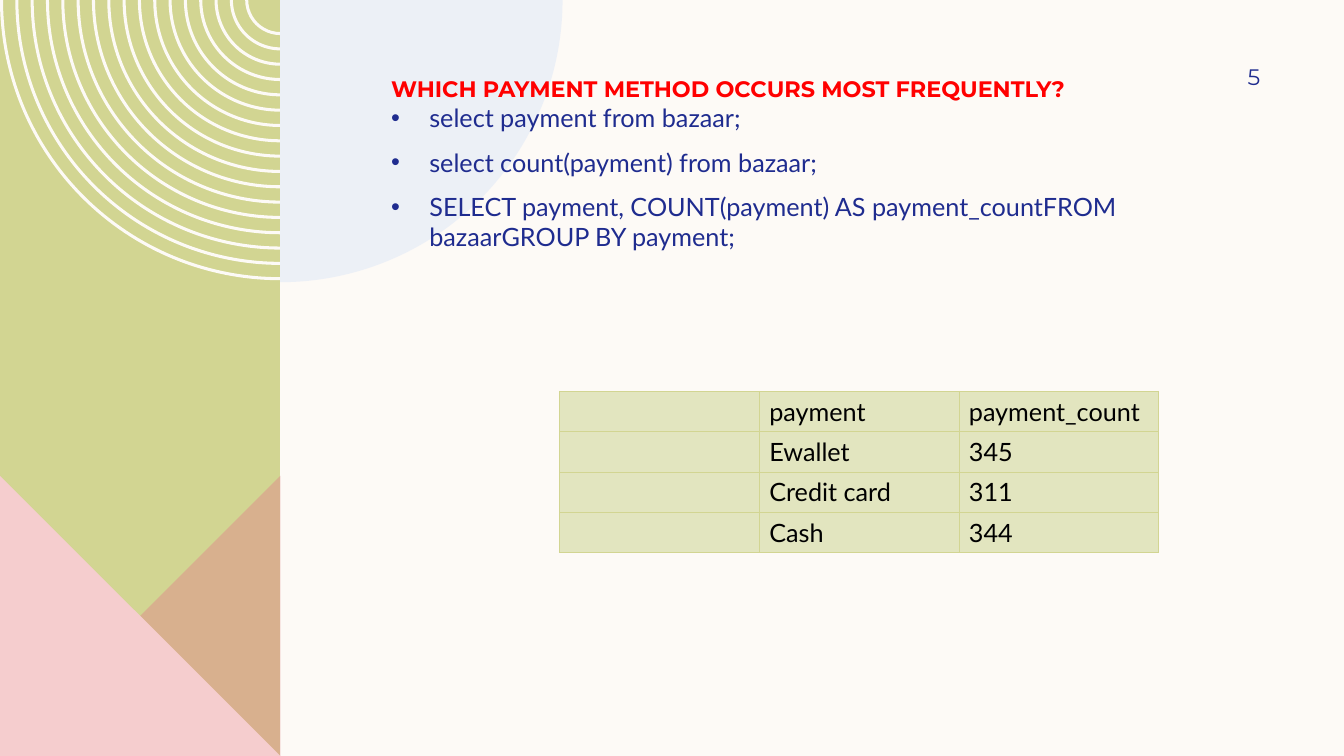
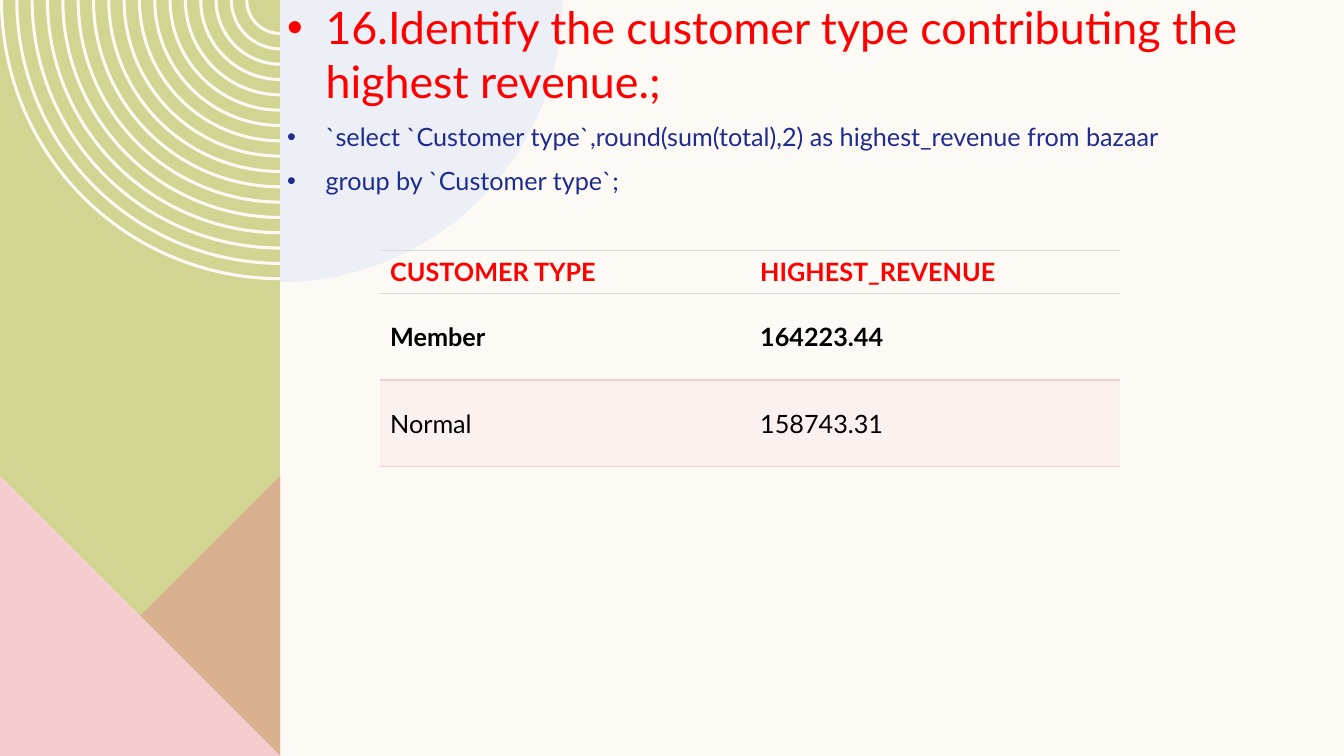
import lxml.etree
import pptx
import pptx.dml.color
import pptx.enum.text
import pptx.oxml.ns
import pptx.util

Inches = pptx.util.Inches
Pt = pptx.util.Pt
qn = pptx.oxml.ns.qn
SubElement = lxml.etree.SubElement
Anchor = pptx.enum.text.MSO_ANCHOR
Align = pptx.enum.text.PP_ALIGN

COLORS = {
    "cream": "FDFAF6",
    "green": "D2D592",
    "pale green": "E2E5BF",
    "rose": "DE8C8C",
    "pink": "F5CDCE",
    "pale pink": "FBF1EE",
    "sky": "DDE7F6",
    "grey": "DDDBDA",
    "red": "FF0000",
    "navy": "1F2C8F",
    "black": "000000",
}
RGB = {name: pptx.dml.color.RGBColor.from_string(value) for name, value in COLORS.items()}
NO_GRID_STYLE = "{2D5ABB26-0587-4C30-8999-92F81FD0307C}"


def style_text(paragraph, size, color, font="Lato", bold=False):
    paragraph.font.size = Pt(size)
    paragraph.font.name = font
    paragraph.font.bold = bold
    paragraph.font.color.rgb = RGB[color]


def add_grid(slide, left, top, column_width, row_height, rows, borders, look):
    frame = slide.shapes.add_table(
        len(rows), len(rows[0]), Inches(left), Inches(top),
        Inches(column_width * len(rows[0])), Inches(row_height * len(rows)))
    table = frame.table
    table.first_row = table.horz_banding = False
    frame.element.find(".//" + qn("a:tableStyleId")).text = NO_GRID_STYLE
    for column in table.columns:
        column.width = Inches(column_width)
    for r, texts in enumerate(rows):
        table.rows[r].height = Inches(row_height)
        color, bold, fill = look[r]
        for c, text in enumerate(texts):
            cell = table.cell(r, c)
            cell.text = text
            cell.vertical_anchor = Anchor.MIDDLE
            style_text(cell.text_frame.paragraphs[0], 18, color, bold=bold)
            for side, (line_color, width) in borders[r].items():
                line = SubElement(cell._tc.get_or_add_tcPr(), qn("a:ln" + side), w=str(Pt(width)))
                SubElement(SubElement(line, qn("a:solidFill")), qn("a:srgbClr"), val=COLORS[line_color])
            if fill:
                cell.fill.solid()
                cell.fill.fore_color.rgb = RGB[fill]
            else:
                cell.fill.background()


prs = pptx.Presentation()
prs.slide_width, prs.slide_height = Inches(13.33), Inches(7.5)
master = prs.slide_master
master.background.fill.solid()
master.background.fill.fore_color.rgb = RGB["cream"]

payment_slide = prs.slides.add_slide(prs.slide_layouts[5])
revenue_slide = prs.slides.add_slide(prs.slide_layouts[6])

BAND = 2.78
DISC = 2.8
rings, ring_arcs = [], []
for ring in range(17):
    outer = BAND - 0.152 * ring
    inner = outer - 0.03
    rings.append([(BAND - outer, 0), (BAND, outer), (BAND, inner), (BAND - inner, 0)])
    ring_arcs += [(outer, 180, -90), None, (inner, 90, 90)]

decorations = [
    ([[(0, 0), (BAND, 0), (BAND, 7.5), (0, 7.5)]], [], "green", 100),
    (rings, ring_arcs, "cream", 100),
    ([[(BAND, 4.72), (BAND, 7.5), (0, 7.5)]], [], "rose", 50),
    ([[(0, 4.72), (BAND, 7.5), (0, 7.5)]], [], "pink", 100),
    ([[(BAND + DISC, 0), (BAND, DISC), (BAND, 0)]], [(DISC, 0, 90)], "sky", 50),
]
for position, (outlines, arcs, color, opacity) in enumerate(decorations):
    contours = [[(Inches(x), Inches(y)) for x, y in outline] for outline in outlines]
    builder = payment_slide.shapes.build_freeform(*contours[0][0])
    builder.add_line_segments(contours[0][1:])
    for contour in contours[1:]:
        builder.move_to(*contour[0])
        builder.add_line_segments(contour[1:])
    decoration = builder.convert_to_shape()
    decoration.shadow.inherit = False
    decoration.line.fill.background()
    decoration.fill.solid()
    decoration.fill.fore_color.rgb = RGB[color]
    segments = list(decoration.element.iter(qn("a:lnTo")))
    for segment, arc in zip(segments, arcs):
        if arc:
            radius, start, sweep = arc
            size = str(Inches(radius))
            curve = lxml.etree.Element(qn("a:arcTo"), wR=size, hR=size,
                                       stAng=str(start * 60000), swAng=str(sweep * 60000))
            segment.getparent().replace(segment, curve)
    if opacity < 100:
        tint = decoration.element.spPr.find(qn("a:solidFill")).find(qn("a:srgbClr"))
        SubElement(tint, qn("a:alpha"), val=str(opacity * 1000))
    master.shapes.element.insert(2 + position, decoration.element)

title = payment_slide.shapes.title
title.left, title.top, title.width, title.height = map(Inches, (3.78, 0.35, 8.71, 0.66))
heading = title.text_frame
heading.text = "WHICH PAYMENT METHOD OCCURS MOST FREQUENTLY?"
heading.auto_size = pptx.enum.text.MSO_AUTO_SIZE.NONE
heading.vertical_anchor = Anchor.BOTTOM
heading.margin_top = heading.margin_bottom = 0
heading.paragraphs[0].alignment = Align.LEFT
style_text(heading.paragraphs[0], 16, "red", "Montserrat", True)

queries = [
    (payment_slide, (3.78, 1.02, 8.71, 5.33), [
        ("select payment from bazaar;", 18, "navy"),
        ("select count(payment) from bazaar;", 18, "navy"),
        ("SELECT payment, COUNT(payment) AS payment_countFROM bazaarGROUP BY payment;", 18, "navy"),
    ]),
    (revenue_slide, (2.75, 0, 10.58, 7.5), [
        ("16.Identify the customer type contributing the highest revenue.;", 32, "red"),
        ("`select `Customer type`,round(sum(total),2) as highest_revenue from bazaar", 18, "navy"),
        ("group by `Customer type`;", 18, "navy"),
    ]),
]
for slide, box, lines in queries:
    body = slide.shapes.add_textbox(*map(Inches, box)).text_frame
    body.word_wrap = True
    body.margin_top = body.margin_bottom = 0
    for index, (text, size, color) in enumerate(lines):
        paragraph = body.add_paragraph() if index else body.paragraphs[0]
        paragraph.text = text
        properties = paragraph._p.get_or_add_pPr()
        properties.set("marL", str(Inches(0.38)))
        properties.set("indent", str(Inches(-0.38)))
        SubElement(properties, qn("a:buFont"), typeface="Arial")
        SubElement(properties, qn("a:buChar"), char="•")
        paragraph.space_before = Pt(10)
        style_text(paragraph, size, color)

page_number = payment_slide.shapes.add_textbox(*map(Inches, (11.33, 0.5, 1.17, 0.52))).text_frame
page_number.text = "5"
page_number.word_wrap = True
page_number.margin_right = 0
page_number.vertical_anchor = Anchor.MIDDLE
page_number.paragraphs[0].alignment = Align.RIGHT
style_text(page_number.paragraphs[0], 16, "navy", "Montserrat")

payment_counts = [
    ("", "payment", "payment_count"),
    ("", "Ewallet", "345"),
    ("", "Credit card", "311"),
    ("", "Cash", "344"),
]
add_grid(payment_slide, 5.55, 3.88, 1.98, 0.4, payment_counts,
         [{side: ("green", 0.5) for side in "LRTB"}] * 4,
         [("black", False, "pale green")] * 4)

grey_line, pink_line = ("grey", 0.75), ("pink", 1)
add_grid(revenue_slide, 3.77, 2.91, 3.67, 0.86,
         [("Member", "164223.44"), ("Normal", "158743.31")],
         [{"T": grey_line, "B": pink_line}, {"T": pink_line, "B": pink_line}],
         [("black", True, None), ("black", False, "pale pink")])
add_grid(revenue_slide, 3.77, 2.48, 3.67, 0.43,
         [("CUSTOMER TYPE", "HIGHEST_REVENUE")],
         [{"T": grey_line, "B": grey_line}],
         [("red", True, None)])

prs.save("out.pptx")
